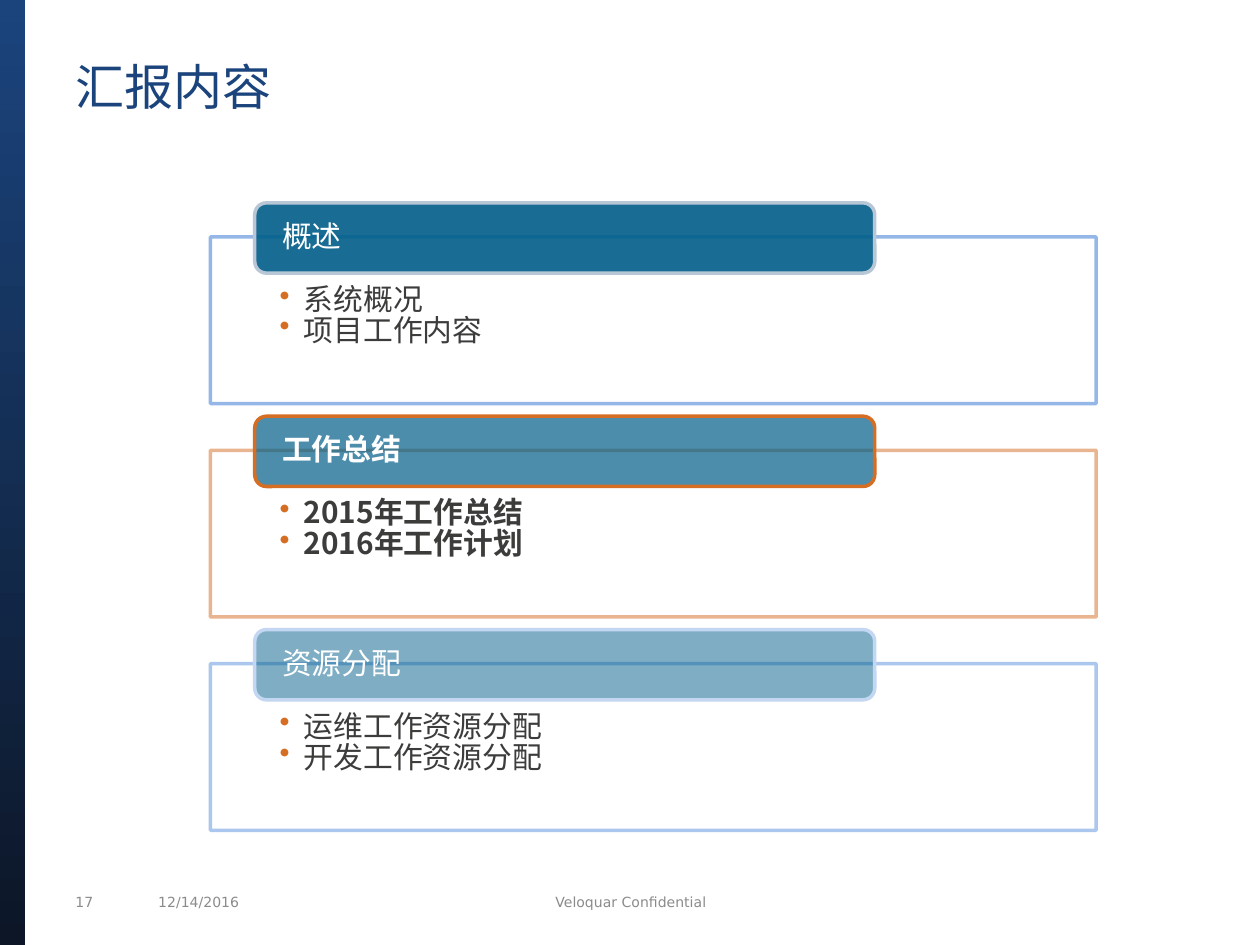
import dataclasses

import lxml.etree
import pptx
import pptx.dml.color
import pptx.enum.shapes
import pptx.enum.text
import pptx.oxml.ns
import pptx.util

SHAPE = pptx.enum.shapes.MSO_SHAPE
ALIGN = pptx.enum.text.PP_ALIGN
ANCHOR = pptx.enum.text.MSO_ANCHOR


@dataclasses.dataclass(frozen=True)
class Theme:
    """Colours, fonts and type sizes of the slide."""
    navy: str = "1B447D"
    midnight: str = "0C1627"
    teal: str = "005E8A"
    orange: str = "D56D23"
    sky: str = "89B0E6"
    mist: str = "B8C7D6"
    ice: str = "C4D7F2"
    ink: str = "3C3C3B"
    grey: str = "8B8B89"
    white: str = "FFFFFF"
    text_font: str = "Noto Sans CJK SC"
    footer_font: str = "DejaVu Sans"
    title_size: int = 28
    body_size: int = 17
    footer_size: int = 8
    line_width: int = 2


@dataclasses.dataclass(frozen=True)
class Box:
    """A rectangle in inches that can be divided by shares."""
    left: float
    top: float
    width: float
    height: float

    def inner(self, x, y, w, h):
        """Return the inner box at the given shares."""
        return Box(self.left + x * self.width, self.top + y * self.height,
                   w * self.width, h * self.height)

    def lengths(self):
        """Return left, top, width and height as slide lengths."""
        return [pptx.util.Inches(v) for v in dataclasses.astuple(self)]


@dataclasses.dataclass(frozen=True)
class Section:
    """One agenda section with its wording and emphasis."""
    heading: str
    items: tuple
    frame_color: str
    frame_opacity: int
    heading_line: str
    heading_opacity: int
    bold: bool = False


THEME = Theme()
SLIDE = Box(0, 0, 10, 7.5)
SECTIONS = (
    Section("概述", ("系统概况", "项目工作内容"), THEME.sky, 90, THEME.mist, 90),
    Section("工作总结", ("2015年工作总结", "2016年工作计划"),
            THEME.orange, 50, THEME.orange, 70, True),
    Section("资源分配", ("运维工作资源分配", "开发工作资源分配"),
            THEME.sky, 70, THEME.ice, 50),
)


def rgb(color):
    """Turn a hex string into a colour."""
    return pptx.dml.color.RGBColor.from_string(color)


def add_xml(parent, tag, **attributes):
    """Append a drawing element to its parent and return it."""
    return lxml.etree.SubElement(parent, pptx.oxml.ns.qn(tag), attributes)


def style_paragraph(paragraph, font, size, color, bold=False, align=ALIGN.LEFT):
    """Set the type of a whole paragraph, East Asian face included."""
    paragraph.alignment = align
    paragraph.font.size = pptx.util.Pt(size)
    paragraph.font.bold = bold
    paragraph.font.color.rgb = rgb(color)
    paragraph.font.name = font
    properties = paragraph._p.get_or_add_pPr()
    add_xml(properties.find(pptx.oxml.ns.qn("a:defRPr")), "a:ea", typeface=font)


def add_bullet(paragraph, hang):
    """Give a paragraph an orange hanging bullet."""
    properties = paragraph._p.get_or_add_pPr()
    properties.set("marL", str(pptx.util.Inches(hang)))
    properties.set("indent", str(-pptx.util.Inches(hang)))
    add_xml(add_xml(properties, "a:buClr"), "a:srgbClr", val=THEME.orange)
    add_xml(properties, "a:buChar", char="•")


def set_insets(frame, left, top, right, bottom):
    """Set the four text margins in inches."""
    frame.margin_left, frame.margin_top, frame.margin_right, frame.margin_bottom = (
        pptx.util.Inches(v) for v in (left, top, right, bottom))


def add_panel(slide, box, kind, fill, fill_opacity, line, line_opacity):
    """Add an outlined translucent shape."""
    panel = slide.shapes.add_shape(kind, *box.lengths())
    panel.shadow.inherit = False
    panel.fill.solid()
    panel.fill.fore_color.rgb = rgb(fill)
    panel.line.color.rgb = rgb(line)
    panel.line.width = pptx.util.Pt(THEME.line_width)
    for place, opacity in (("", fill_opacity), ("a:ln/", line_opacity)):
        for color in panel._element.xpath(f"./p:spPr/{place}a:solidFill/a:srgbClr"):
            add_xml(color, "a:alpha", val=str(opacity * 1000))
    panel.text_frame.word_wrap = True
    return panel


def add_side_band(slide, box):
    """Draw the vertical gradient band."""
    band = slide.shapes.add_shape(SHAPE.RECTANGLE, *box.lengths())
    band.shadow.inherit = False
    band.line.fill.background()
    band.fill.gradient()
    band.fill.gradient_angle = 90
    for stop, color in zip(band.fill.gradient_stops, (THEME.midnight, THEME.navy)):
        stop.color.rgb = rgb(color)


def add_title(slide, box, wording):
    """Place and format the title placeholder."""
    title = slide.shapes.title
    title.left, title.top, title.width, title.height = box.lengths()
    frame = title.text_frame
    frame.text = wording
    frame.auto_size = pptx.enum.text.MSO_AUTO_SIZE.NONE
    frame.vertical_anchor = ANCHOR.TOP
    set_insets(frame, 0.1, 0, 0.1, 0)
    style_paragraph(frame.paragraphs[0], THEME.text_font, THEME.title_size, THEME.navy)


def add_section(slide, box, section):
    """Draw one framed section with its overlapping heading."""
    panel = add_panel(slide, box.inner(0, 0.17, 1, 0.83), SHAPE.RECTANGLE, THEME.white, 90,
                      section.frame_color, section.frame_opacity)
    body = panel.text_frame
    body.vertical_anchor = ANCHOR.TOP
    set_insets(body, 0.55, 0.39, 0.55, 0.13)
    body.text = "\n".join(section.items)
    for item in body.paragraphs:
        item.level = 1
        item.line_spacing = 0.86
        add_bullet(item, 0.19)
        style_paragraph(item, THEME.text_font, THEME.body_size, THEME.ink, section.bold)

    tab = add_panel(slide, box.inner(0.05, 0, 0.7, 0.35), SHAPE.ROUNDED_RECTANGLE,
                    THEME.teal, section.heading_opacity, section.heading_line, 100)
    heading = tab.text_frame
    heading.vertical_anchor = ANCHOR.MIDDLE
    set_insets(heading, 0.19, 0, 0.19, 0)
    heading.text = section.heading
    heading.paragraphs[0].line_spacing = 0.9
    style_paragraph(heading.paragraphs[0], THEME.text_font, THEME.body_size,
                    THEME.white, section.bold)


def add_agenda(slide, box, sections):
    """Stack the sections at an equal pitch."""
    gap = 0.02
    share = (1 - gap * (len(sections) - 1)) / len(sections)
    for row, section in enumerate(sections):
        add_section(slide, box.inner(0, row * (share + gap), 1, share), section)


def add_footer(slide, box):
    """Write the page number, date and confidentiality note."""
    entries = (("17", 0, 0.08, ALIGN.LEFT),
               ("12/14/2016", 0.1, 0.25, ALIGN.LEFT),
               ("Veloquar Confidential", 0.37, 0.63, ALIGN.CENTER))
    for wording, x, width, align in entries:
        note = slide.shapes.add_textbox(*box.inner(x, 0, width, 1).lengths()).text_frame
        note.word_wrap = True
        note.vertical_anchor = ANCHOR.MIDDLE
        note.text = wording
        style_paragraph(note.paragraphs[0], THEME.footer_font, THEME.footer_size,
                        THEME.grey, align=align)


def main():
    """Build the agenda slide and save it."""
    deck = pptx.Presentation()
    deck.slide_width, deck.slide_height = SLIDE.lengths()[2:]
    slide = deck.slides.add_slide(deck.slide_layouts.get_by_name("Title Only"))
    add_footer(slide, Box(0.5, 7.04, 6.58, 0.24))
    add_side_band(slide, SLIDE.inner(0, 0, 0.02, 1))
    add_title(slide, SLIDE.inner(0.05, 0.06, 0.9, 0.07), "汇报内容")
    add_agenda(slide, Box(1.67, 1.61, 7.03, 4.98), SECTIONS)
    deck.save("out.pptx")


if __name__ == "__main__":
    main()
